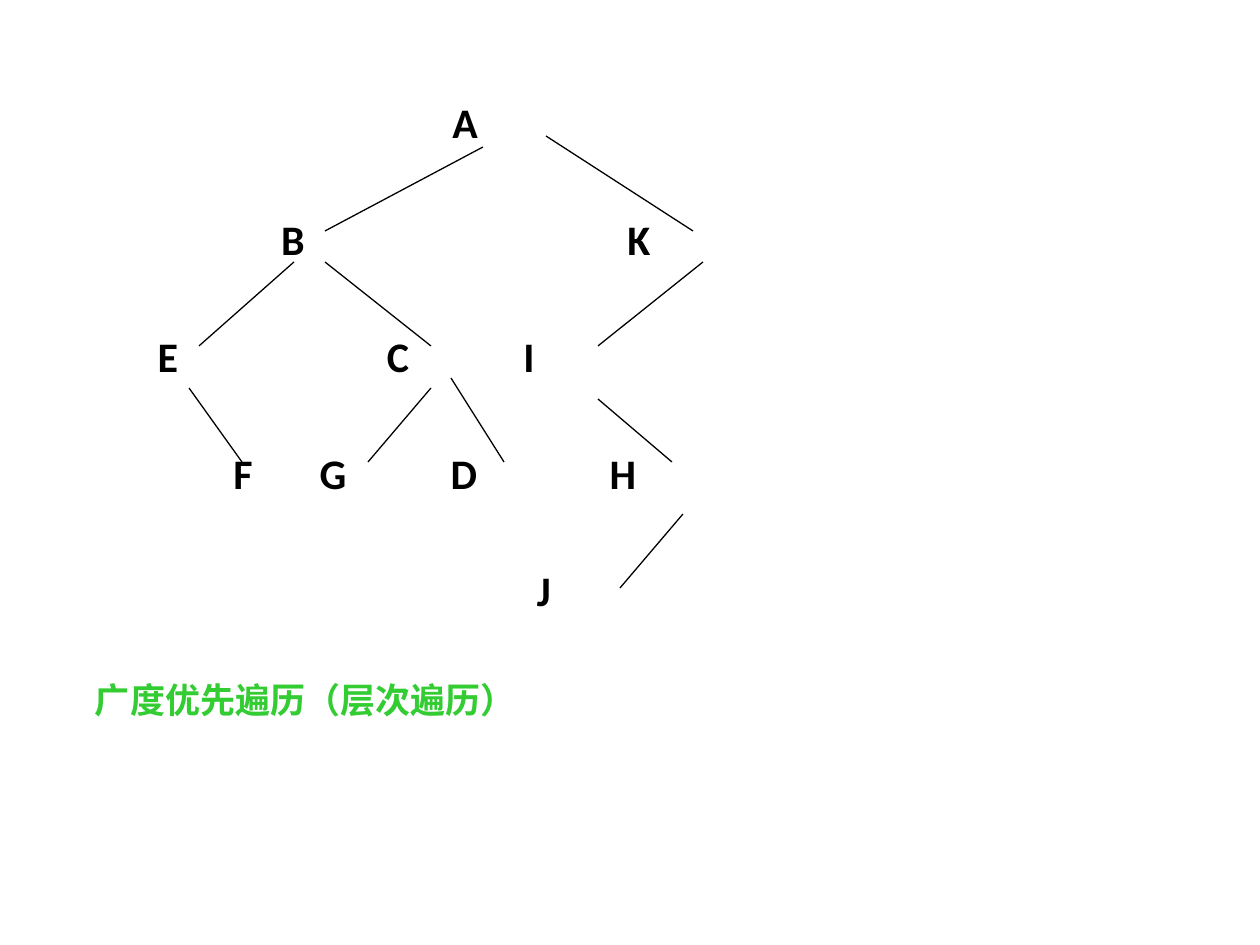
import pptx
import pptx.util
import pptx.dml.color
import pptx.enum.shapes
import pptx.enum.text
import pptx.oxml.ns
from lxml import etree

ROWS = [
    [("A", 465)],
    [("B", 293), ("K", 639)],
    [("E", 168), ("C", 398), ("I", 529)],
    [("F", 243), ("G", 333), ("D", 464), ("H", 623)],
    [("J", 544)],
]
EDGES = [
    (483, 147, 325, 231),
    (294, 262, 199, 346),
    (325, 262, 431, 346),
    (189, 388, 242, 462),
    (431, 388, 368, 462),
    (451, 378, 504, 462),
    (546, 136, 693, 231),
    (703, 262, 598, 346),
    (598, 399, 672, 462),
    (683, 514, 620, 588),
]
CAPTION = "广度优先遍历（层次遍历）"
THEME = {
    "tree": ("Calibri", 24, "000000"),
    "caption": ("Times New Roman", 20, "33CC33"),
    "edge": ("000000", 0.75),
}
TREE = (32, 32, 1197, 882)
NOTE = (73, 672, 1040, 55)
TOP, LINE, PITCH = 68, 47, 117


def px(n):
    return pptx.util.Emu(round(n * 914400 / 126))


def color(code):
    return pptx.dml.color.RGBColor.from_string(code)


def add_box(slide, area, left, top):
    frame = slide.shapes.add_textbox(*map(px, area)).text_frame
    frame.word_wrap = True
    frame.margin_left, frame.margin_top = px(left), px(top)
    frame.margin_right = frame.margin_bottom = 0
    return frame


def set_font(para, role):
    name, size, code = THEME[role]
    font = para.font
    font.name, font.size, font.bold = name, pptx.util.Pt(size), True
    font.color.rgb = color(code)


def add_tabs(para, stops):
    qn = pptx.oxml.ns.qn
    tabs = etree.SubElement(para._p.get_or_add_pPr(), qn("a:tabLst"))
    for stop in stops:
        etree.SubElement(tabs, qn("a:tab"), pos=str(px(stop)), algn="ctr")


def add_tree(slide):
    frame = add_box(slide, TREE, 0, TOP)
    for i, row in enumerate(ROWS):
        para = frame.add_paragraph() if i else frame.paragraphs[0]
        para.text = "".join("\t" + name for name, _ in row)
        add_tabs(para, [x - TREE[0] for _, x in row])
        para.line_spacing = px(LINE)
        if i:
            para.space_before = px(PITCH - LINE)
        set_font(para, "tree")


def add_edge(slide, ends):
    kind = pptx.enum.shapes.MSO_CONNECTOR.STRAIGHT
    edge = slide.shapes.add_connector(kind, *map(px, ends))
    code, width = THEME["edge"]
    edge.line.color.rgb = color(code)
    edge.line.width = pptx.util.Pt(width)
    etree.SubElement(edge._element.spPr, pptx.oxml.ns.qn("a:effectLst"))


def add_note(slide):
    frame = add_box(slide, NOTE, 22, 0)
    frame.vertical_anchor = pptx.enum.text.MSO_ANCHOR.MIDDLE
    para = frame.paragraphs[0]
    para.text = CAPTION
    set_font(para, "caption")


def main():
    deck = pptx.Presentation()
    deck.slide_width, deck.slide_height = px(1260), px(945)
    slide = deck.slides.add_slide(deck.slide_layouts[6])
    add_tree(slide)
    for ends in EDGES:
        add_edge(slide, ends)
    add_note(slide)
    deck.save("out.pptx")


if __name__ == "__main__":
    main()
